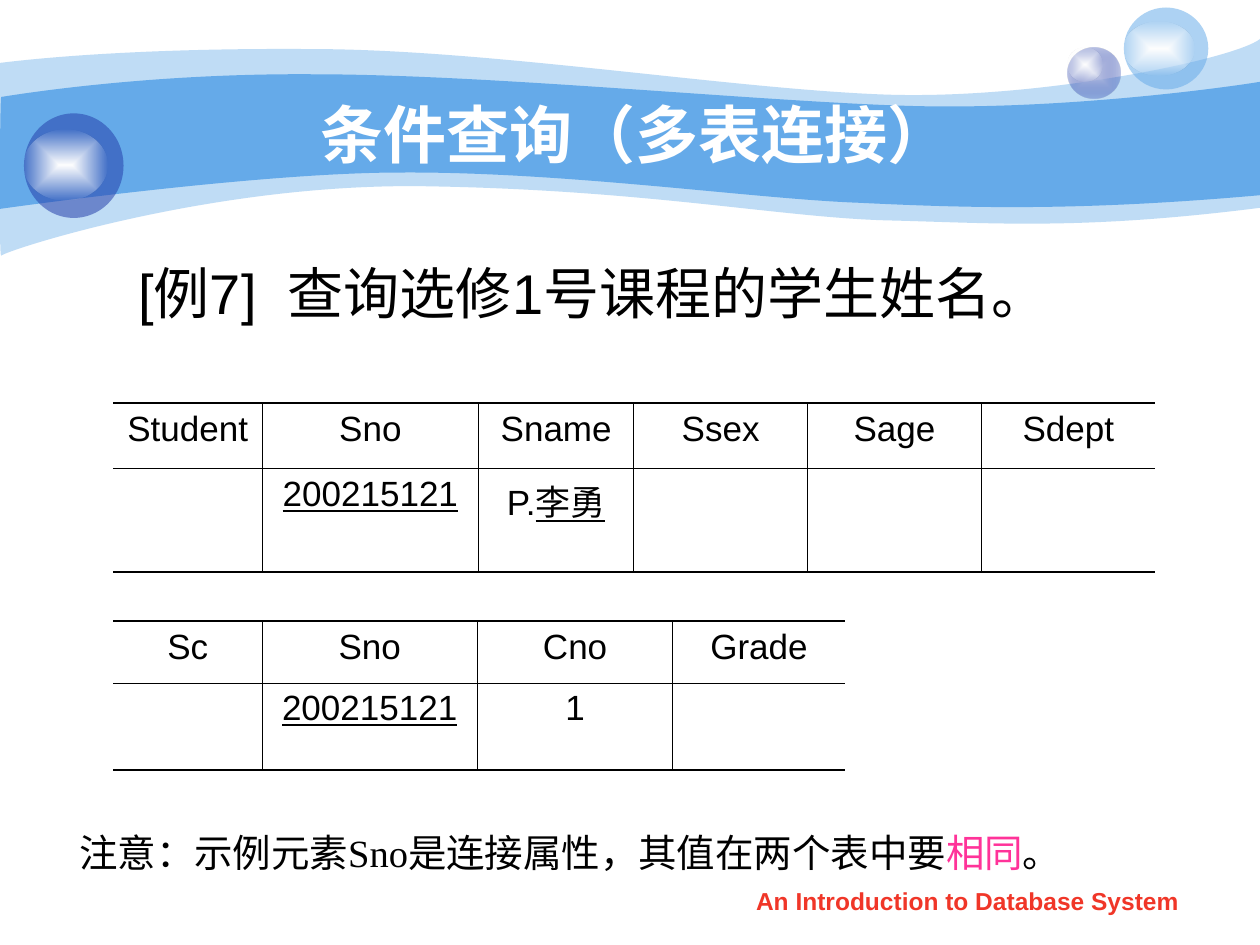
from pptx import Presentation
from pptx.dml.color import RGBColor
from pptx.enum.lang import MSO_LANGUAGE_ID
from pptx.enum.shapes import MSO_SHAPE
from pptx.enum.text import MSO_ANCHOR, PP_ALIGN
from pptx.oxml import parse_xml
from pptx.oxml.ns import nsdecls, qn
from pptx.util import Inches, Pt

CENTER, LEFT = PP_ALIGN.CENTER, PP_ALIGN.LEFT
TOP, MIDDLE = MSO_ANCHOR.TOP, MSO_ANCHOR.MIDDLE
OVAL = MSO_SHAPE.OVAL
CHINESE = MSO_LANGUAGE_ID.SIMPLIFIED_CHINESE
SKY, NAVY, BLACK, WHITE = "65AAE9", "233DA9", "000000", "FFFFFF"
THICK, THIN = 1.08, 0.45

# Wave outlines: a start point, then segments of one point (line) or three (Bezier)
OUTER_WAVE = [
    [(0, 0.5)],
    [(0.24, 0.47), (1.07, 0.38), (2.47, 0.39)], [(3.86, 0.39), (5.75, 0.7), (6.99, 0.75)],
    [(8.22, 0.8), (9.8, 0.47), (10, 0.31)], [(10, 1.65)],
    [(8.58, 1.83), (7.87, 1.77), (7.05, 1.75)], [(6.22, 1.73), (5.15, 1.51), (3.43, 1.48)],
    [(1.72, 1.44), (0.04, 1.99), (0.01, 2.03)], [(-0.01, 2.08), (0, 0.75), (0, 0.5)]]
INNER_WAVE = [
    [(0.01, 0.77)],
    [(0.02, 0.77), (1.1, 0.58), (2.48, 0.59)], [(3.86, 0.59), (5.95, 0.8), (7.18, 0.84)],
    [(8.41, 0.88), (9.76, 0.69), (10, 0.65)], [(10, 1.55)],
    [(8.53, 1.68), (7.65, 1.65), (6.82, 1.61)], [(5.99, 1.58), (4.47, 1.36), (3.17, 1.37)],
    [(2.03, 1.37), (-0.02, 1.66), (-0.01, 1.66)], [(0, 1.66), (0, 0.77), (0.01, 0.77)]]


def rgb(color):
    return RGBColor.from_string(color)


def fill_solid(sp, color, opacity=100):
    sp.shadow.inherit = False
    sp.line.fill.background()
    sp.fill.solid()
    sp.fill.fore_color.rgb = rgb(color)
    if opacity < 100:
        clr = sp.fill._xPr.find(qn("a:solidFill"))[0]
        clr.append(parse_xml(f'<a:alpha {nsdecls("a")} val="{opacity * 1000}"/>'))


def fill_glow(sp, inner, outer, opacity):
    """Gradient from the centre out to a partly transparent edge."""
    fill_solid(sp, inner)
    spPr = sp.fill._xPr
    grad = parse_xml(
        f'<a:gradFill {nsdecls("a")} rotWithShape="1"><a:gsLst>'
        f'<a:gs pos="0"><a:srgbClr val="{inner}"/></a:gs>'
        f'<a:gs pos="100000"><a:srgbClr val="{outer}"><a:alpha val="{opacity * 1000}"/>'
        '</a:srgbClr></a:gs></a:gsLst><a:path path="rect">'
        '<a:fillToRect l="50000" t="50000" r="50000" b="50000"/></a:path></a:gradFill>')
    spPr.replace(spPr.find(qn("a:solidFill")), grad)


def add_wave(s, left, top, outline, opacity):
    points = [(Inches(left + x), Inches(top + y)) for segment in outline for x, y in segment]
    builder = s.shapes.build_freeform(*points[0])
    builder.add_line_segments(points[1:], close=True)
    sp = builder.convert_to_shape()
    fill_solid(sp, SKY, opacity)
    # Merge each run of three line points into one Bezier segment
    lines = iter(list(sp._element.iter(qn("a:lnTo"))))
    for segment in outline[1:]:
        parts = [next(lines) for _ in segment]
        if len(parts) == 3:
            curve = parse_xml(f'<a:cubicBezTo {nsdecls("a")}/>')
            parts[0].addprevious(curve)
            for part in parts:
                curve.append(part[0])
                part.getparent().remove(part)


def add_ball(s, box, shine_size, shine_drop, color, opacity, core=None):
    left, top, width, height = box
    group = s.shapes.add_group_shape()
    ball = group.shapes.add_shape(OVAL, *map(Inches, box))
    if core:
        fill_glow(ball, core, color, opacity)
    else:
        fill_solid(ball, color, opacity)
    shine = group.shapes.add_shape(OVAL, Inches(left), Inches(top + shine_drop),
                                   *map(Inches, shine_size))
    fill_glow(shine, WHITE, "FEFEFE", 0)


def add_header(s, left, top):
    add_wave(s, left, top, OUTER_WAVE, 41)
    add_wave(s, left, top, INNER_WAVE, 100)
    add_ball(s, (left + 8.47, top + 0.38, 0.42, 0.4), (0.28, 0.27), 0, NAVY, 31, "C6CCE8")
    add_ball(s, (left + 8.92, top + 0.06, 0.67, 0.65), (0.56, 0.43), 0.11, SKY, 53)
    add_ball(s, (left + 0.19, top + 0.9, 0.79, 0.83), (0.66, 0.56), 0.13, NAVY, 53)


def write_run(p, text, size, color=BLACK, font="Arial", bold=False, underline=False):
    r = p.add_run()
    r.text = text
    r.font.size, r.font.name = Pt(size), font
    r.font.bold, r.font.underline = bold, underline
    r.font.color.rgb = rgb(color)
    if not text.isascii():
        r.font.language_id = CHINESE


def add_text(s, box, runs, align=LEFT, anchor=TOP, wrap=True, spacing=None, indent=None):
    tf = s.shapes.add_textbox(*map(Inches, box)).text_frame
    tf.word_wrap, tf.vertical_anchor = wrap, anchor
    p = tf.paragraphs[0]
    p.alignment, p.line_spacing = align, spacing
    if indent:
        margin, first_line = indent
        pPr = p._p.get_or_add_pPr()
        pPr.set("marL", str(Inches(margin)))
        pPr.set("indent", str(Inches(first_line)))
    for text, style in runs:
        write_run(p, text, **style)


def set_border(cell, side, width):
    fill = f'<a:solidFill><a:srgbClr val="{BLACK}"/></a:solidFill>' if width else "<a:noFill/>"
    cell._tc.get_or_add_tcPr().append(parse_xml(
        f'<a:ln{side} {nsdecls("a")} w="{int(Pt(width))}">{fill}</a:ln{side}>'))


def add_query_table(s, left, top, widths, heights, rows):
    """Each cell is a list of (text, underlined) runs."""
    frame = s.shapes.add_table(len(rows), len(widths), Inches(left), Inches(top),
                               Inches(sum(widths)), Inches(sum(heights)))
    table = frame.table
    table.first_row = table.horz_banding = False
    for column, width in zip(table.columns, widths):
        column.width = Inches(width)
    for row, height in zip(table.rows, heights):
        row.height = Inches(height)
    last_row, last_col = len(rows) - 1, len(widths) - 1
    for i, row in enumerate(rows):
        for j, runs in enumerate(row):
            cell = table.cell(i, j)
            p = cell.text_frame.paragraphs[0]
            p.alignment = CENTER
            for text, underline in runs:
                write_run(p, text, 20, underline=underline)
            set_border(cell, "L", THIN if j else 0)
            set_border(cell, "R", THIN if j < last_col else 0)
            set_border(cell, "T", THIN if i else THICK)
            set_border(cell, "B", THIN if i < last_row else THICK)
            cell.fill.background()


def header_row(*names):
    return [[(name, False)] for name in names]


def main():
    prs = Presentation()
    prs.slide_width, prs.slide_height = Inches(10), Inches(7.5)
    s = prs.slides.add_slide(prs.slide_layouts[6])

    # Header band, title and question
    add_header(s, 0, 0)
    add_text(s, (1, 0.75, 8.08, 0.62),
             [("条件查询（多表连接）", dict(size=36, color=WHITE, bold=True))], CENTER, MIDDLE)
    add_text(s, (0.5, 2, 8.67, 1.67),
             [("[例7]  查询选修1号课程的学生姓名。", dict(size=32))], indent=(0.81, -0.31))

    # Student query table
    sno = [("200215121", True)]
    add_query_table(s, 0.9, 3.2, [1.18, 1.72, 1.23, 1.38, 1.38, 1.38], [0.52, 0.82], [
        header_row("Student", "Sno", "Sname", "Ssex", "Sage", "Sdept"),
        [[], sno, [("P.", False), ("李勇", True)], [], [], []]])

    # Note
    note = dict(size=22, font="Times New Roman")
    add_text(s, (0.53, 6.46, 8.21, 0.58),
             [("注意：示例元素Sno是连接属性，其值在两个表中要", note),
              ("相同", dict(note, color="FF3399")), ("。", note)], wrap=False, spacing=1.2)

    # Course selection query table
    add_query_table(s, 0.9, 4.93, [1.18, 1.71, 1.55, 1.37], [0.49, 0.69], [
        header_row("Sc", "Sno", "Cno", "Grade"),
        [[], sno, [("1", False)], []]])

    # Footer
    add_text(s, (5.71, 6.98, 3.94, 0.35),
             [("An Introduction to Database System", dict(size=14, color="F03628", bold=True))],
             CENTER)
    prs.save("out.pptx")


if __name__ == "__main__":
    main()
